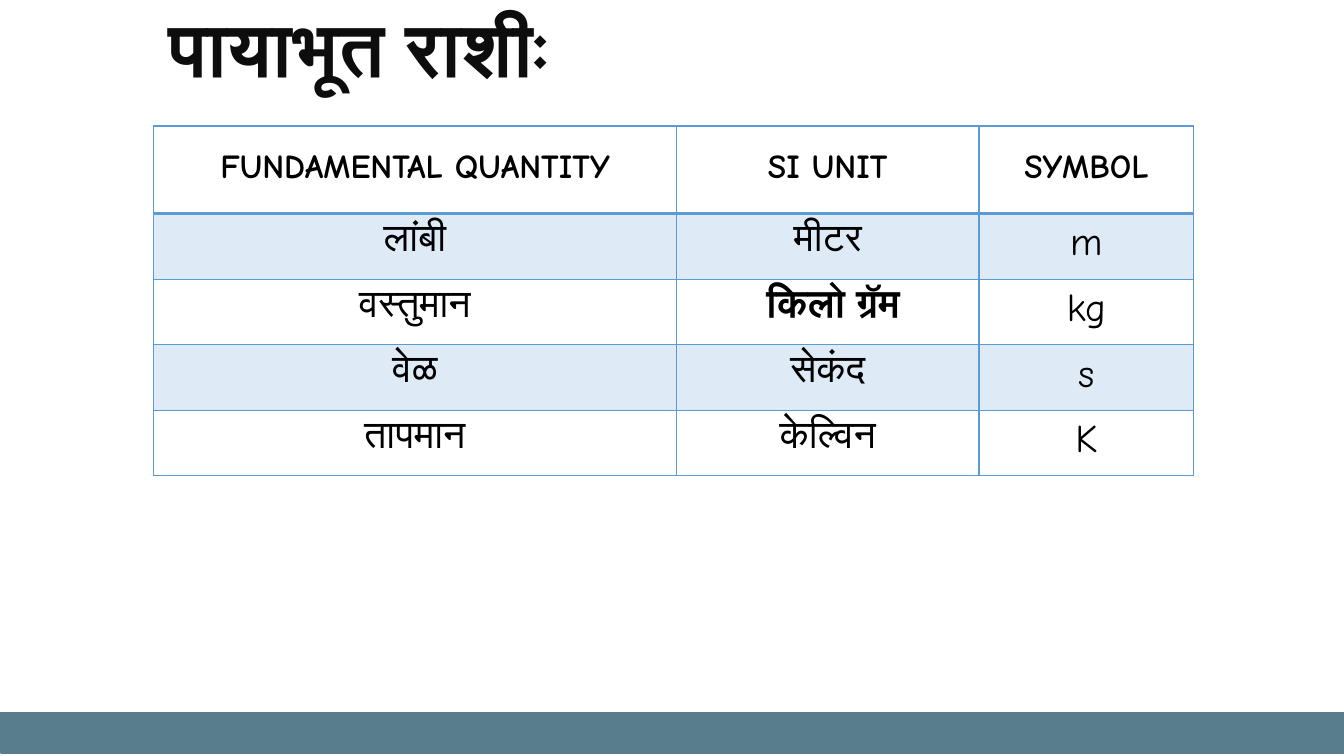
from dataclasses import dataclass

from lxml.etree import SubElement
from pptx import Presentation
from pptx.dml.color import RGBColor as RGB
from pptx.enum.shapes import MSO_SHAPE as Shape
from pptx.enum.text import MSO_ANCHOR as Anchor, MSO_AUTO_SIZE as AutoSize, PP_ALIGN as Align
from pptx.oxml.ns import qn
from pptx.util import Inches, Pt


@dataclass(frozen=True)
class Theme:
    """Colours, fonts and type sizes of the slide."""
    font: str = "Comic Neue"
    alt_font: str = "Calibri"
    title: str = "0D0D0D"
    text: str = "000000"
    border: str = "5B9BD4"
    band: str = "DEEBF6"
    bar: str = "587E8D"
    title_size: int = 54
    header_size: int = 24
    body_size: int = 28


THEME = Theme()
COLUMN_WIDTHS = (5.19, 3, 2.13)
ROW_HEIGHTS = (0.87,) + (0.65,) * 4
QUANTITIES = (
    ("FUNDAMENTAL QUANTITY", "SI UNIT", "SYMBOL"),
    ("लांबी", "मीटर", "m"),
    ("वस्तुमान", " किलो ग्रॅम", "kg"),
    ("वेळ", "सेकंद", "s"),
    ("तापमान", "केल्विन", "K"),
)
SPECIAL_CELLS = {(1, 1): {"name": THEME.alt_font}, (2, 1): {"bold": True}}


def set_attrs(obj, **values):
    """Set each named attribute of obj."""
    for name, value in values.items():
        setattr(obj, name, value)


def write(tf, text, color, align, **font):
    """Write one formatted run into a text frame without insets."""
    set_attrs(tf, word_wrap=True, margin_left=0, margin_right=0, margin_bottom=0)
    p = tf.paragraphs[0]
    p.alignment = align
    r = p.add_run()
    r.text = text
    set_attrs(r.font, **{"name": THEME.font, **font})
    r.font.color.rgb = RGB.from_string(color)


def add_title(s, text):
    """Place and fill the title placeholder."""
    title = s.shapes.title
    set_attrs(title, left=Inches(1.67), top=Inches(0.01), width=Inches(10), height=Inches(0.91))
    tf = title.text_frame
    set_attrs(tf, margin_top=0, vertical_anchor=Anchor.TOP, auto_size=AutoSize.SHAPE_TO_FIT_TEXT)
    write(tf, text, THEME.title, Align.LEFT, size=Pt(THEME.title_size), bold=True)


def set_borders(cell, **widths):
    """Draw the cell's borders, given as side=points."""
    tc_pr = cell._tc.get_or_add_tcPr()
    for side, width in widths.items():
        line = SubElement(tc_pr, qn(f"a:ln{side}"), w=str(Pt(width)))
        fill = SubElement(line, qn("a:solidFill"))
        SubElement(fill, qn("a:srgbClr"), val=THEME.border)


def format_cell(cell, text, row, col):
    """Fill one table cell according to its row."""
    header = row == 0
    set_borders(cell, L=1, R=1, T=2.25 if row == 1 else 1, B=2.25 if header else 1)
    if row % 2:
        cell.fill.solid()
        cell.fill.fore_color.rgb = RGB.from_string(THEME.band)
    else:
        cell.fill.background()
    font = {"size": Pt(THEME.header_size if header else THEME.body_size), "bold": header}
    font.update(SPECIAL_CELLS.get((row, col), {}))
    write(cell.text_frame, text, THEME.text, Align.CENTER, **font)
    set_attrs(cell, margin_left=0, margin_right=0, margin_bottom=0,
              margin_top=Inches(0.22 if header else 0.07), vertical_anchor=Anchor.TOP)


def add_quantity_table(s):
    """Add the table of fundamental quantities."""
    table = s.shapes.add_table(
        len(ROW_HEIGHTS), len(COLUMN_WIDTHS), Inches(1.52), Inches(1.25),
        Inches(sum(COLUMN_WIDTHS)), Inches(sum(ROW_HEIGHTS))).table
    set_attrs(table, first_row=False, horz_banding=False)
    for column, width in zip(table.columns, COLUMN_WIDTHS):
        column.width = Inches(width)
    for row, height in zip(table.rows, ROW_HEIGHTS):
        row.height = Inches(height)
    for i, texts in enumerate(QUANTITIES):
        for j, text in enumerate(texts):
            format_cell(table.cell(i, j), text, i, j)


def add_footer_bar(s):
    """Add the coloured bar along the bottom edge."""
    bar = s.shapes.add_shape(Shape.RECTANGLE, Inches(0.01), Inches(7.07), Inches(13.32), Inches(0.4))
    bar.shadow.inherit = False
    bar.fill.solid()
    bar.fill.fore_color.rgb = bar.line.color.rgb = RGB.from_string(THEME.bar)
    bar.line.width = Pt(0.96)


def main():
    """Build the slide and save it."""
    prs = Presentation()
    set_attrs(prs, slide_width=Inches(13.33), slide_height=Inches(7.5))
    s = prs.slides.add_slide(prs.slide_layouts[5])
    add_footer_bar(s)
    add_quantity_table(s)
    add_title(s, "पायाभूत राशीः")
    prs.save("out.pptx")


main()
